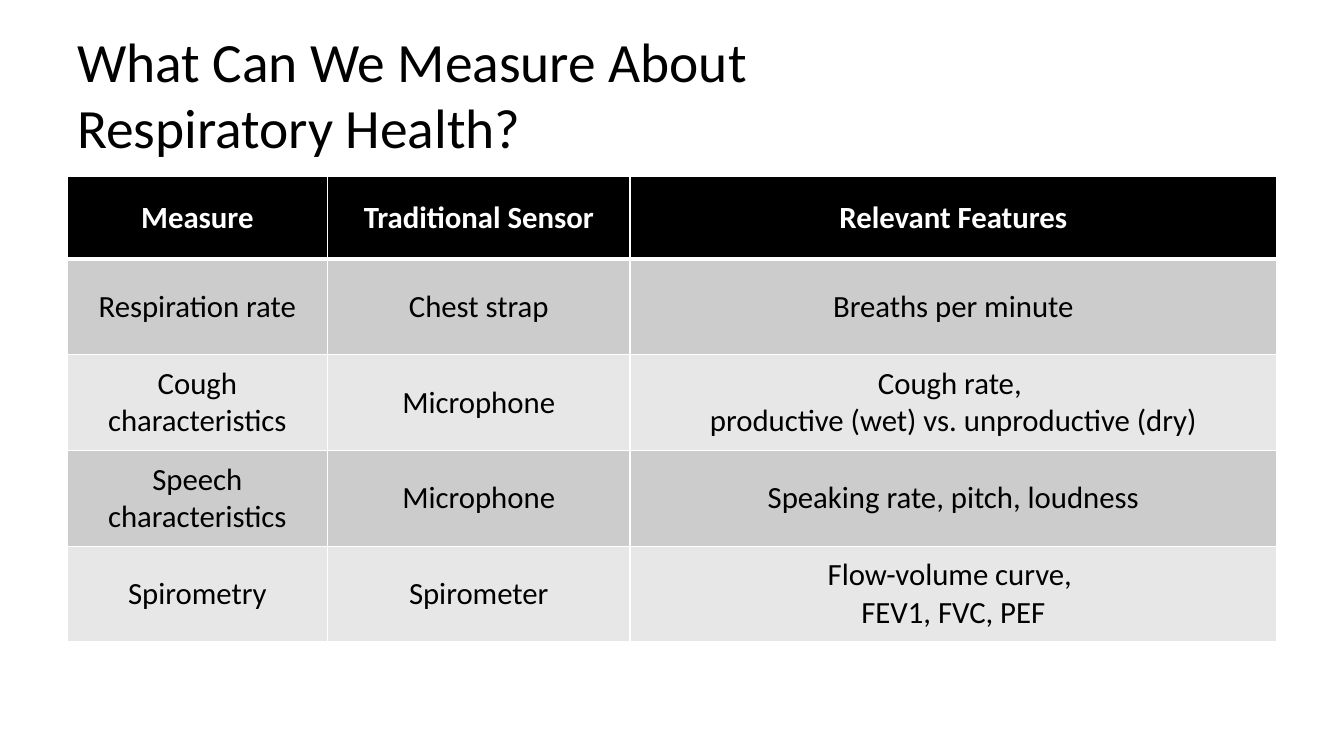
from dataclasses import dataclass

from lxml.etree import SubElement
from pptx import Presentation
from pptx.dml.color import RGBColor
from pptx.enum.text import MSO_ANCHOR as Anchor, PP_ALIGN as Align
from pptx.oxml.ns import qn
from pptx.slide import Slide
from pptx.table import _Cell as Cell
from pptx.text.text import TextFrame
from pptx.util import Pt

FONT = "Calibri"
BLACK, WHITE = "000000", "FFFFFF"
DARK_GRAY, LIGHT_GRAY = "CCCCCC", "E7E7E7"
LEFT, WIDTH = 48, 864
COLUMN_WIDTHS = (186, 216, 462)
TABLE_TOP, HEADER_HEIGHT, ROW_HEIGHT = 126, 59, 68.4


@dataclass(frozen=True)
class Row:
    texts: tuple[str, str, str]
    fill: str
    height: float = ROW_HEIGHT
    color: str = BLACK
    bold: bool = False
    top_border: float = 1
    bottom_border: float = 1


TABLES = (
    (
        Row(("Measure", "Traditional Sensor", "Relevant Features"), BLACK,
            HEADER_HEIGHT, WHITE, bold=True, bottom_border=3),
        Row(("Respiration rate", "Chest strap", "Breaths per minute"), DARK_GRAY,
            top_border=3),
    ),
    (Row(("Cough characteristics", "Microphone",
          "Cough rate, \vproductive (wet) vs. unproductive (dry)"), LIGHT_GRAY),),
    (Row(("Speech characteristics", "Microphone",
          "Speaking rate, pitch, loudness"), DARK_GRAY),),
    (Row(("Spirometry", "Spirometer", "Flow-volume curve, \vFEV1, FVC, PEF"), LIGHT_GRAY),),
)


def rgb(color: str) -> RGBColor:
    return RGBColor.from_string(color)


def write(frame: TextFrame, text: str, size: float, color: str,
          align: Align, bold: bool = False) -> None:
    frame.text = text
    for paragraph in frame.paragraphs:
        paragraph.alignment = align
        for run in paragraph.runs:
            run.font.name = FONT
            run.font.size = Pt(size)
            run.font.bold = bold
            run.font.color.rgb = rgb(color)


def add_borders(cell: Cell, row: Row) -> None:
    properties = cell._tc.get_or_add_tcPr()
    widths = {"L": 1, "R": 1, "T": row.top_border, "B": row.bottom_border}
    for side, width in widths.items():
        line = SubElement(properties, qn(f"a:ln{side}"), w=str(Pt(width)))
        SubElement(SubElement(line, qn("a:solidFill")), qn("a:srgbClr"), val=WHITE)


def fill_cell(cell: Cell, text: str, row: Row) -> None:
    add_borders(cell, row)
    cell.fill.solid()
    cell.fill.fore_color.rgb = rgb(row.fill)
    cell.vertical_anchor = Anchor.MIDDLE
    write(cell.text_frame, text, 22, row.color, Align.CENTER, row.bold)


def add_rows(slide: Slide, rows: tuple[Row, ...], top: float) -> float:
    height = sum(row.height for row in rows)
    table = slide.shapes.add_table(
        len(rows), len(COLUMN_WIDTHS), Pt(LEFT), Pt(top), Pt(WIDTH), Pt(height)
    ).table
    table.first_row = rows[0].bold
    table.horz_banding = False
    for column, width in zip(table.columns, COLUMN_WIDTHS):
        column.width = Pt(width)
    for table_row, row in zip(table.rows, rows):
        table_row.height = Pt(row.height)
        for cell, text in zip(table_row.cells, row.texts):
            fill_cell(cell, text, row)
    return top + height


def add_title(slide: Slide) -> None:
    title = slide.shapes.add_textbox(Pt(LEFT), Pt(21.6), Pt(WIDTH), Pt(90))
    frame = title.text_frame
    frame.word_wrap = True
    frame.vertical_anchor = Anchor.MIDDLE
    write(frame, "What Can We Measure About \vRespiratory Health?", 39.6, BLACK, Align.LEFT)


def main() -> None:
    presentation = Presentation()
    presentation.slide_width = Pt(960)
    presentation.slide_height = Pt(540)
    slide = presentation.slides.add_slide(presentation.slide_layouts[6])
    add_title(slide)
    top = TABLE_TOP
    for rows in TABLES:
        top = add_rows(slide, rows, top)
    presentation.save("out.pptx")


if __name__ == "__main__":
    main()
